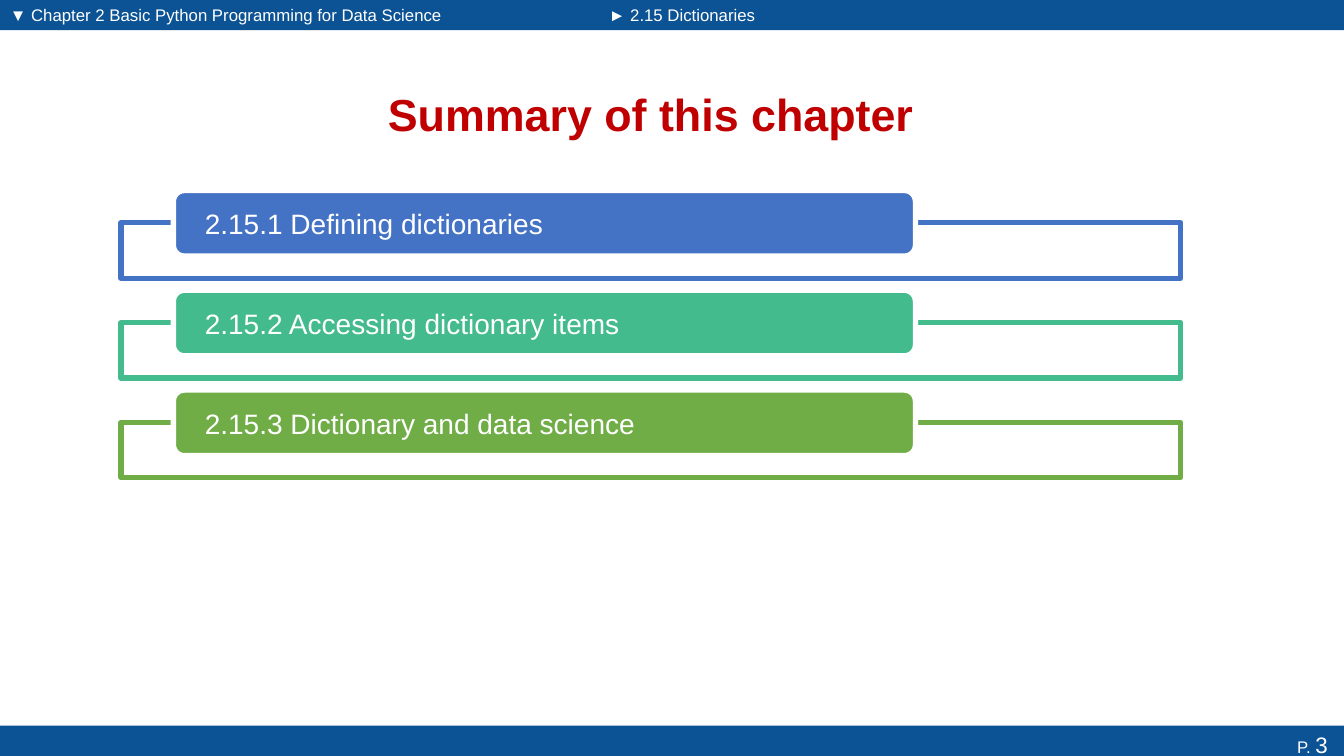
from pptx import Presentation
from pptx.dml.color import RGBColor
from pptx.enum import shapes, text
from pptx.util import Inches, Pt

TITLE = "Summary of this chapter"
NAVY, WHITE, RED = "0B5394", "FFFFFF", "C00000"
BARS = [  # left, top, width, height, inset, align, runs with sizes
    (0, 0, 5.93, 0.3, 0.1, text.PP_ALIGN.LEFT,
     [("▼ Chapter 2 Basic Python Programming for Data Science", 12)]),
    (0, 7.2, 13.33, 0.37, 0.16, text.PP_ALIGN.RIGHT, [("P. ", 12), ("3", 16)]),
    (5.93, 0, 7.4, 0.3, 0.11, text.PP_ALIGN.LEFT, [("► 2.15 Dictionaries", 12)]),
]
TOPICS = [
    ("2.15.1 Defining dictionaries", "4472C4"),
    ("2.15.2 Accessing dictionary items", "43BB8D"),
    ("2.15.3 Dictionary and data science", "70AD47"),
]
FIRST, STEP, DROP = 1.89, 0.99, 0.32  # first label top, row pitch, frame offset


def color(hex_):
    return RGBColor.from_string(hex_)


def box(slide, kind, area, fill, line=None):
    """Add a flat shape; without a line colour it has no outline."""
    shape = slide.shapes.add_shape(kind, *map(Inches, area))
    shape.shadow.inherit = False
    shape.fill.solid()
    shape.fill.fore_color.rgb = color(fill)
    if line:
        shape.line.color.rgb = color(line)
        shape.line.width = Pt(3.78)
    else:
        shape.line.fill.background()
    return shape


def write(shape, runs, align, inset=0.1, ink=WHITE, bold=False):
    """Fill a shape with one middle-anchored paragraph."""
    frame = shape.text_frame
    frame.word_wrap = True
    frame.vertical_anchor = text.MSO_ANCHOR.MIDDLE
    frame.margin_left = frame.margin_right = Inches(inset)
    frame.margin_top = frame.margin_bottom = 0
    para = frame.paragraphs[0]
    para.alignment = align
    for words, size in runs:
        run = para.add_run()
        run.text = words
        run.font.name = "Arial"
        run.font.size = Pt(size)
        run.font.bold = bold
        run.font.color.rgb = color(ink)


def main():
    deck = Presentation()
    deck.slide_width, deck.slide_height = Inches(13.33), Inches(7.5)
    slide = deck.slides.add_slide(deck.slide_layouts[5])
    rect = shapes.MSO_SHAPE.RECTANGLE
    rounded = shapes.MSO_SHAPE.ROUNDED_RECTANGLE

    title = slide.shapes.title
    title.left, title.top = Inches(2.51), Inches(0.68)
    title.width, title.height = Inches(7.89), Inches(0.9)
    write(title, [(TITLE, 32)], text.PP_ALIGN.CENTER, ink=RED, bold=True)

    for *area, inset, align, runs in BARS:
        write(box(slide, rect, area, NAVY), runs, align, inset)

    for row, (topic, hue) in enumerate(TOPICS):
        top = FIRST + row * STEP
        box(slide, rect, (1.2, top + DROP, 10.51, 0.55), WHITE, hue)
        label = box(slide, rounded, (1.72, top, 7.36, 0.65), hue, WHITE)
        # the rounded corners already inset the text by about 0.03
        write(label, [(topic, 20)], text.PP_ALIGN.LEFT, 0.28)

    deck.save("out.pptx")


if __name__ == "__main__":
    main()
